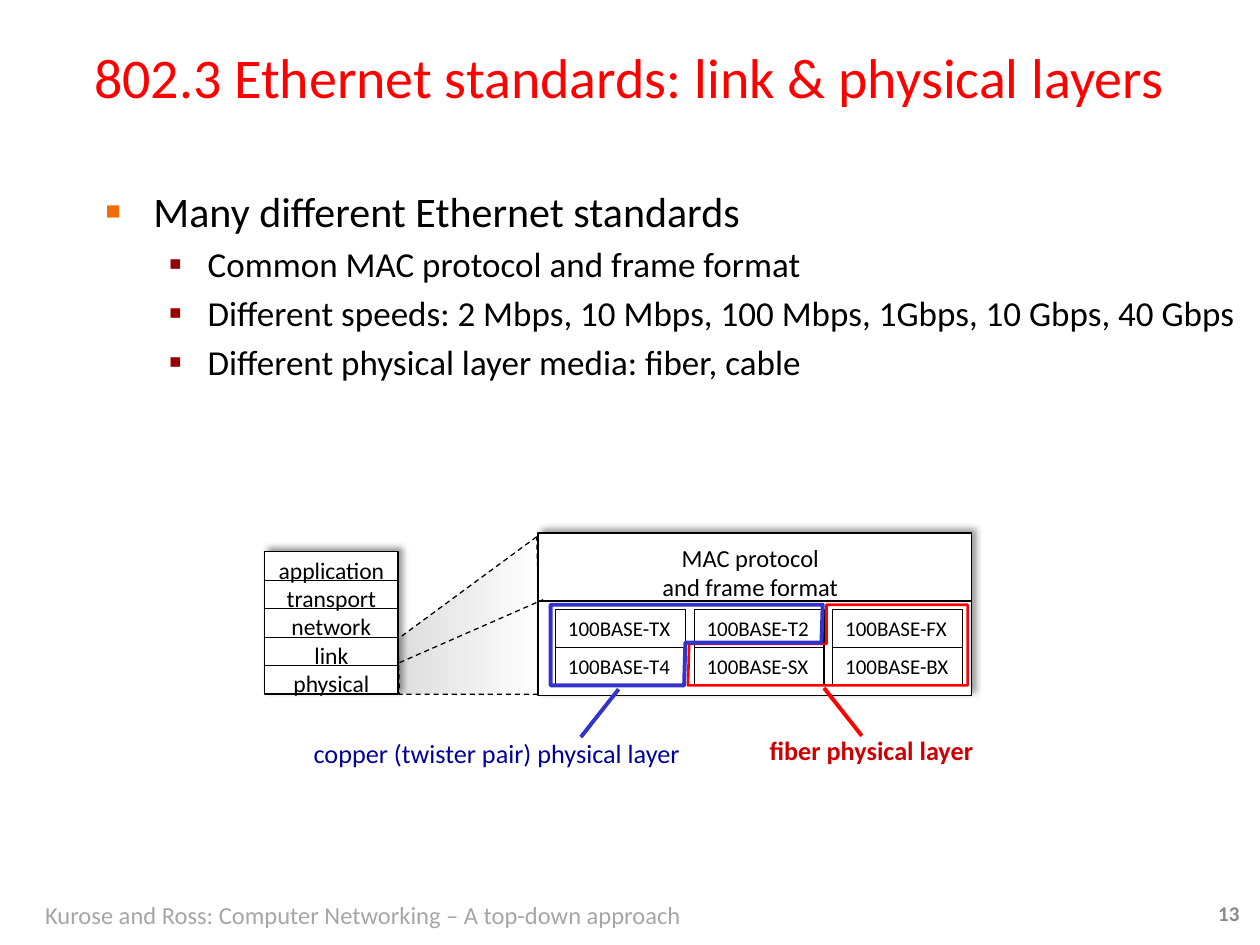
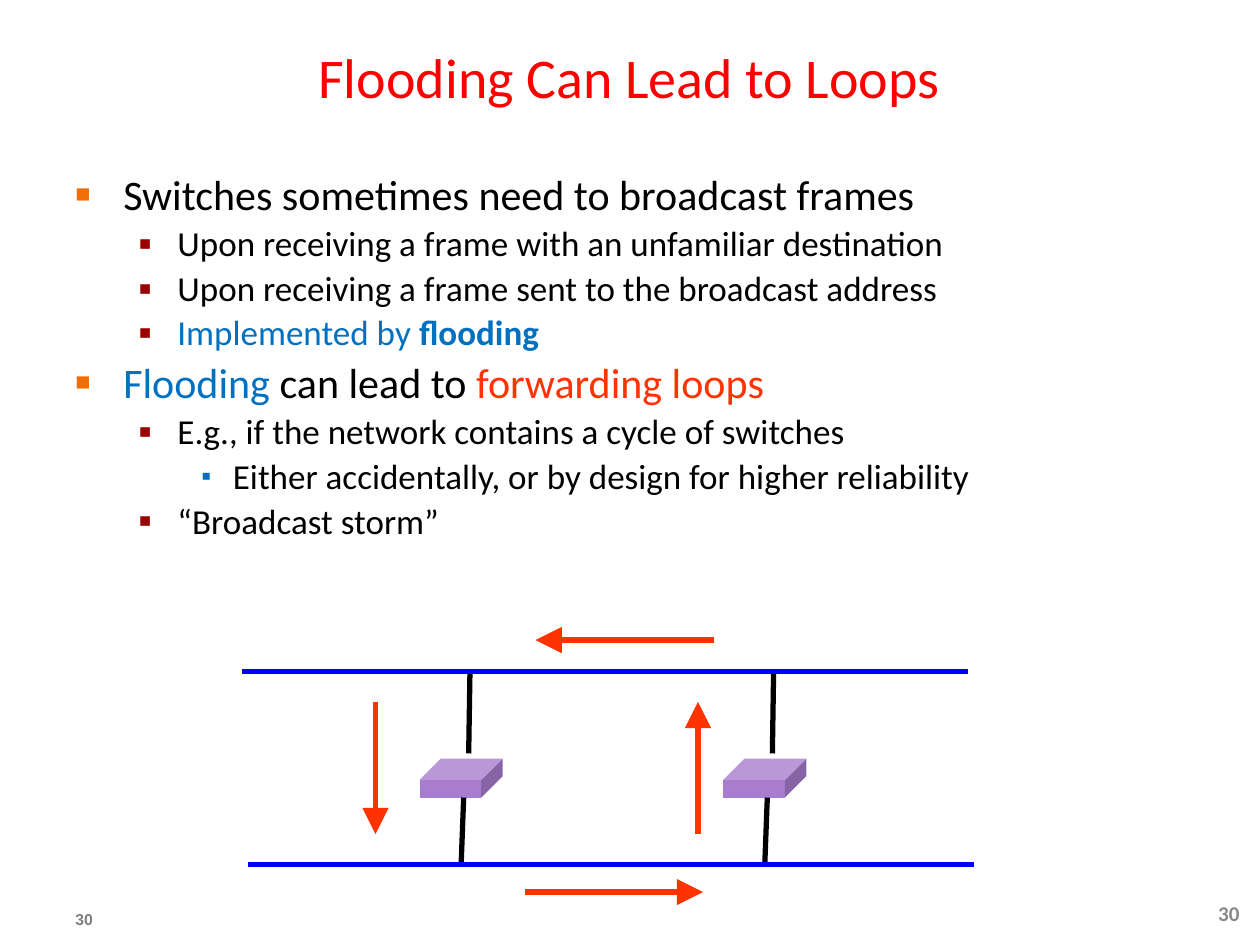
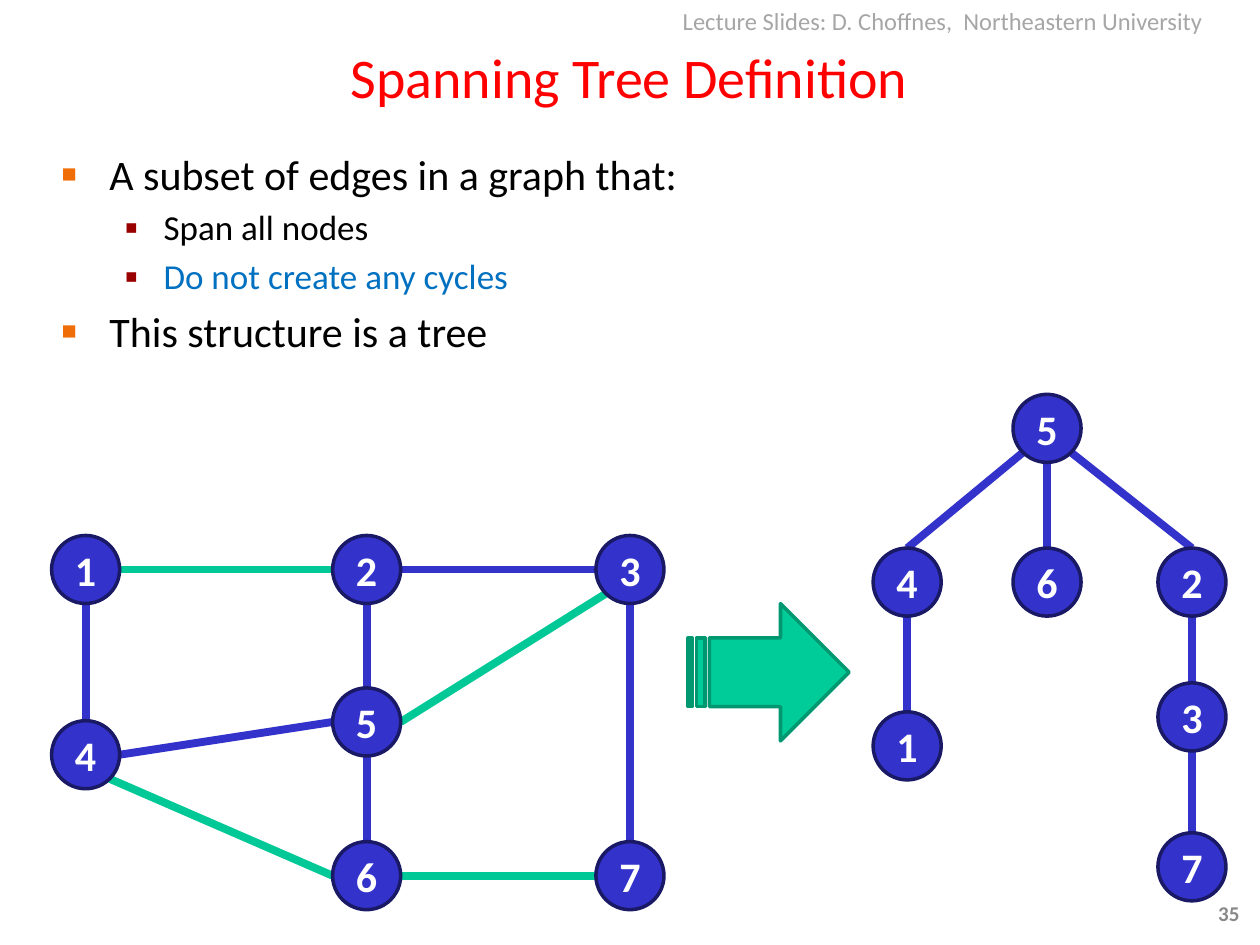
from dataclasses import dataclass
from typing import NamedTuple

from lxml import etree
from pptx import Presentation
from pptx.dml.color import RGBColor
from pptx.enum.dml import MSO_LINE
from pptx.enum.shapes import MSO_CONNECTOR, MSO_SHAPE
from pptx.enum.text import MSO_ANCHOR, MSO_AUTO_SIZE, PP_ALIGN
from pptx.oxml.ns import qn
from pptx.util import Emu, Inches, Pt

RECT, OVAL, CUBE = MSO_SHAPE.RECTANGLE, MSO_SHAPE.OVAL, MSO_SHAPE.CUBE
STRIPED = MSO_SHAPE.STRIPED_RIGHT_ARROW
STRAIGHT, DASH = MSO_CONNECTOR.STRAIGHT, MSO_LINE.DASH
LEFT, CENTER = PP_ALIGN.LEFT, PP_ALIGN.CENTER
TOP, MIDDLE = MSO_ANCHOR.TOP, MSO_ANCHOR.MIDDLE

WIDTH, HEIGHT = Inches(10), Inches(7.5)
UNIT = WIDTH / 10  # the grid has 10 columns and 7.5 rows of square cells

FONT = "Calibri"
BLACK, WHITE, RED, BLUE = "000000", "FFFFFF", "FF0000", "3333CC"
AZURE, ORANGE, TEAL = "0070C0", "FF3300", "00C896"
CREDIT, NUMBER = "A6A6A6", "898989"

Point = tuple[float, float]


class Box(NamedTuple):
    x: float
    y: float
    w: float
    h: float


class Run(NamedTuple):
    text: str
    color: str = BLACK
    bold: bool = False


@dataclass
class Style:
    size: float
    align: PP_ALIGN = LEFT
    anchor: MSO_ANCHOR = TOP
    wrap: bool = True
    font: str = FONT
    inset: bool = True


class Level(NamedTuple):
    size: float
    margin: float
    hang: float
    mark: str
    color: str
    scale: int


class Item(NamedTuple):
    level: int
    runs: list[Run]


LEVELS = [
    Level(24, 0.38, 0.38, "■", "F06E07", 60),
    Level(20, 0.81, 0.31, "▪", "990000", 110),
    Level(20, 1.25, 0.25, "▪", AZURE, 80),
]
TITLE = Box(0.39, 0.21, 9.21, 0.79)
PAGE = Box(9.57, 7.1, 0.4, 0.3)


def cell(count: float) -> Emu:
    return Emu(round(count * UNIT))


def place(box: Box) -> list[Emu]:
    return [cell(side) for side in box]


def rgb(code: str) -> RGBColor:
    return RGBColor.from_string(code)


def node(parent, tag: str, **attrs):
    return etree.SubElement(parent, qn(tag), attrs)


def write(para, runs: list[Run], size: float, font: str = FONT) -> None:
    for part in runs:
        run = para.add_run()
        run.text = part.text
        run.font.name, run.font.size = font, Pt(size)
        run.font.bold = part.bold
        run.font.color.rgb = rgb(part.color)


def fill_text(shape, lines: list[list[Run]], style: Style) -> None:
    frame = shape.text_frame
    frame.auto_size = MSO_AUTO_SIZE.NONE
    frame.word_wrap, frame.vertical_anchor = style.wrap, style.anchor
    if not style.inset:
        frame.margin_left = frame.margin_right = 0
        frame.margin_top = frame.margin_bottom = 0
    for i, runs in enumerate(lines):
        para = frame.add_paragraph() if i else frame.paragraphs[0]
        para.alignment = style.align
        write(para, runs, style.size, style.font)


def label(slide, box: Box, lines: list[list[Run]], style: Style):
    shape = slide.shapes.add_textbox(*place(box))
    fill_text(shape, lines, style)
    return shape


def paint(shape, fill: str | None, line: str | None, width: float) -> None:
    shape.shadow.inherit = False
    if fill:
        shape.fill.solid()
        shape.fill.fore_color.rgb = rgb(fill)
    else:
        shape.fill.background()
    if line:
        shape.line.color.rgb = rgb(line)
        shape.line.width = Pt(width)
    else:
        shape.line.fill.background()


def draw(slide, kind, box: Box, fill: str | None,
         line: str | None = BLACK, width: float = 0.75):
    shape = slide.shapes.add_shape(kind, *place(box))
    paint(shape, fill, line, width)
    return shape


def cast(shape) -> None:
    """Give the shape a soft shadow toward the upper right."""
    effects = shape._element.spPr.find(qn("a:effectLst"))
    outer = node(effects, "a:outerShdw", blurRad=str(Pt(4)),
                 dist=str(Pt(3)), dir="18900000", rotWithShape="0")
    color = node(outer, "a:srgbClr", val=BLACK)
    node(color, "a:alpha", val="40000")


def trace(slide, points: list[Point], line: str, width: float,
          close: bool = True):
    """Draw an unfilled outline through the points."""
    first, *rest = [(cell(x), cell(y)) for x, y in points]
    path = slide.shapes.build_freeform(*first)
    path.add_line_segments(rest, close=close)
    shape = path.convert_to_shape()
    paint(shape, None, line, width)
    return shape


def link(slide, start: Point, end: Point, color: str = BLACK,
         width: float = 0.75, arrow: bool = False) -> None:
    ends = [cell(n) for n in (*start, *end)]
    line = slide.shapes.add_connector(STRAIGHT, *ends)
    line.line.color.rgb = rgb(color)
    line.line.width = Pt(width)
    if arrow:
        node(line.line._get_or_add_ln(), "a:tailEnd",
             type="triangle", w="lg", len="lg")
    node(line._element.spPr, "a:effectLst")


def outline(slide, box: Box, items: list[Item],
            spacing: float = 1.0) -> None:
    """Write a bulleted list."""
    frame = slide.shapes.add_textbox(*place(box)).text_frame
    frame.word_wrap = True
    for i, item in enumerate(items):
        look = LEVELS[item.level]
        para = frame.add_paragraph() if i else frame.paragraphs[0]
        para.level = item.level
        para.line_spacing = spacing
        if i:
            para.space_before = Pt(look.size * 0.2)
        props = para._p.get_or_add_pPr()
        props.set("marL", str(cell(look.margin)))
        props.set("indent", str(-cell(look.hang)))
        node(node(props, "a:buClr"), "a:srgbClr", val=look.color)
        node(props, "a:buSzPct", val=str(look.scale * 1000))
        node(props, "a:buFont", typeface="Arial")
        node(props, "a:buChar", char=look.mark)
        write(para, item.runs, look.size)


def start(deck, title: str, page: int):
    """Add a slide with its title and page number."""
    slide = deck.slides.add_slide(deck.slide_layouts[5])
    head = slide.shapes.title
    head.left, head.top, head.width, head.height = place(TITLE)
    fill_text(head, [[Run(title, RED)]], Style(32, CENTER, MIDDLE))
    label(slide, PAGE, [[Run(str(page), NUMBER, True)]],
          Style(12, anchor=MIDDLE))
    return slide


def stack(slide, box: Box, names: list[str]) -> None:
    """Draw the protocol layers as one box split by lines."""
    cast(draw(slide, RECT, box, WHITE))
    label(slide, Box(box.x, box.y - 0.02, box.w, 1.24),
          [[Run(name)] for name in names], Style(13.5, CENTER, wrap=False))
    step = box.h / len(names)
    for i in range(1, len(names)):
        y = box.y + i * step
        link(slide, (box.x, y), (box.x + box.w, y))


def ethernet(deck) -> None:
    slide = start(deck, "802.3 Ethernet standards: link & physical layers", 13)
    fan = trace(slide, [(4.26, 4.26), (3.16, 5.07), (3.17, 5.51), (4.3, 5.51)],
                BLACK, 0.75)
    fan.line.dash_style = DASH
    fan.fill.gradient()
    fan.fill.gradient_angle = 0
    for stop, color in zip(fan.fill.gradient_stops, ("DDDDDD", WHITE)):
        stop.color.rgb = rgb(color)
    stack(slide, Box(2.1, 4.38, 1.06, 1.13),
          ["application", "transport", "network", "link", "physical"])

    cast(draw(slide, RECT, Box(4.27, 4.23, 3.44, 1.29), WHITE))
    link(slide, (4.27, 4.77), (7.71, 4.77))
    label(slide, Box(5.15, 4.26, 1.61, 0.57),
          [[Run("MAC protocol")], [Run("and frame format")]],
          Style(14, CENTER, wrap=False))
    ray = trace(slide, [(3.17, 5.26), (4.31, 4.76)], BLACK, 0.75, False)
    ray.line.dash_style = DASH
    for row, kinds in enumerate((("TX", "T2", "FX"), ("T4", "SX", "BX"))):
        for col, kind in enumerate(kinds):
            box = Box(4.41 + 1.1 * col, 4.84 + 0.3 * row, 1.03, 0.3)
            fill_text(draw(slide, RECT, box, None),
                      [[Run("100BASE-" + kind)]], Style(12, wrap=False))

    trace(slide, [(6.56, 4.8), (6.56, 5.11), (5.47, 5.11), (5.46, 5.44),
                  (7.68, 5.44), (7.68, 4.8)], RED, 1.5)
    link(slide, (6.54, 5.46), (6.84, 5.84), RED, 2.25)
    label(slide, Box(6.01, 5.78, 1.83, 0.35),
          [[Run("fiber physical layer", "CC0000", True)]],
          Style(15, wrap=False))
    trace(slide, [(6.53, 4.8), (6.52, 5.1), (5.44, 5.1), (5.43, 5.44),
                  (4.37, 5.44), (4.37, 4.8)], BLUE, 2.25)
    link(slide, (4.91, 5.47), (4.61, 5.85), BLUE, 2.25)
    label(slide, Box(2.39, 5.8, 3.19, 0.35),
          [[Run("copper (twister pair) physical layer", "000099")]], Style(15))

    outline(slide, Box(0.74, 1.42, 9.2, 1.75), [
        Item(0, [Run("Many different Ethernet standards")]),
        Item(1, [Run("Common MAC protocol and frame format")]),
        Item(1, [Run("Different speeds: 2 Mbps, 10 Mbps, 100 Mbps, "
                     "1Gbps, 10 Gbps, 40 Gbps")]),
        Item(1, [Run("Different physical layer media: fiber, cable")]),
    ])
    label(slide, Box(0.26, 7.09, 5.33, 0.34),
          [[Run("Kurose and Ross: Computer Networking – A top-down approach",
                CREDIT)]], Style(14, wrap=False))


def flooding(deck) -> None:
    slide = start(deck, "Flooding Can Lead to Loops", 30)
    label(slide, Box(0.5, 7.17, 2.75, 0.33), [[Run("30", "808080", True)]],
          Style(9, font="Arial"))
    outline(slide, Box(0.5, 1.33, 9.25, 3.58), [
        Item(0, [Run("Switches sometimes need to broadcast frames")]),
        Item(1, [Run("Upon receiving a frame with an unfamiliar destination")]),
        Item(1, [Run("Upon receiving a frame sent to the broadcast address")]),
        Item(1, [Run("Implemented by ", AZURE), Run("flooding", AZURE, True)]),
        Item(0, [Run("Flooding", AZURE), Run(" can lead to "),
                 Run("forwarding loops", ORANGE)]),
        Item(1, [Run("E.g., if the network contains a cycle of switches")]),
        Item(2, [Run("Either accidentally, or by design "
                     "for higher reliability")]),
        Item(1, [Run("“Broadcast storm”")]),
    ], 0.9)
    for x in (3.33, 5.74):
        switch = draw(slide, CUBE, Box(x, 6.02, 0.66, 0.31), "A87DD0", None)
        switch.adjustments[0] = 0.55
        link(slide, (x + 0.4, 5.33), (x + 0.39, 5.98), BLACK, 3)
        link(slide, (x + 0.35, 6.33), (x + 0.33, 6.86), BLACK, 3)
    for x, y in ((1.92, 5.33), (1.97, 6.86)):
        link(slide, (x, y), (x + 5.76, y), "0000FF", 3)
    for tail, tip in (((2.98, 5.57), (2.98, 6.62)), ((5.54, 6.62), (5.54, 5.57)),
                      ((4.17, 7.08), (5.58, 7.08)), ((5.67, 5.08), (4.25, 5.08))):
        link(slide, tail, tip, ORANGE, 3, arrow=True)


RADIUS = 0.27
SIDES = {"n": (0, -1), "e": (1, 0), "s": (0, 1), "w": (-1, 0),
         "se": (0.71, 0.71), "sw": (-0.71, 0.71)}


def graph(slide, spots: dict[str, Point], edges: dict[str, str]) -> None:
    """Draw numbered nodes; an edge such as "1e 2w" names node and side."""
    def rim(end: str) -> Point:
        (x, y), (dx, dy) = spots[end[0]], SIDES[end[1:]]
        return x + RADIUS * dx, y + RADIUS * dy

    for color, pairs in edges.items():
        for pair in pairs.split(", "):
            tail, tip = pair.split()
            link(slide, rim(tail), rim(tip), color, 4.5)
    for name, (x, y) in spots.items():
        box = Box(x - RADIUS, y - RADIUS, 2 * RADIUS, 2 * RADIUS)
        fill_text(draw(slide, OVAL, box, BLUE, "191966", 2),
                  [[Run(name, WHITE, True)]],
                  Style(24, CENTER, MIDDLE, inset=False))


def spanning(deck) -> None:
    slide = start(deck, "Spanning Tree Definition", 35)
    outline(slide, Box(0.39, 1.13, 9.17, 1.8), [
        Item(0, [Run("A subset of edges in a graph that:")]),
        Item(1, [Run("Span all nodes")]),
        Item(1, [Run("Do not create any cycles", AZURE)]),
        Item(0, [Run("This structure is a tree")]),
    ])
    graph(slide, {
        "1": (0.68, 4.52), "4": (0.68, 5.99), "2": (2.91, 4.52),
        "5": (2.91, 5.73), "6": (2.91, 6.95), "3": (5, 4.52), "7": (5, 6.95),
    }, {
        TEAL: "1e 2w, 5e 3sw, 6e 7w, 4se 6w",
        BLUE: "2e 3w, 2s 5n, 5s 6n, 3s 7n, 1s 4n, 4e 5w",
    })
    graph(slide, {
        "5": (8.31, 3.4), "4": (7.2, 4.62), "6": (8.31, 4.62),
        "2": (9.46, 4.62), "1": (7.2, 5.92), "3": (9.46, 5.69),
        "7": (9.46, 6.88),
    }, {BLUE: "5sw 4n, 5s 6n, 5se 2n, 4s 1n, 2s 3n, 3s 7n"})
    draw(slide, STRIPED, Box(5.46, 4.79, 1.28, 1.09), "00CC99", "009771", 2)
    label(slide, Box(5.32, 0, 4.68, 0.34),
          [[Run("Lecture Slides: D. Choffnes,  Northeastern University",
                CREDIT)]], Style(14))


def main() -> None:
    deck = Presentation()
    deck.slide_width, deck.slide_height = WIDTH, HEIGHT
    ethernet(deck)
    flooding(deck)
    spanning(deck)
    deck.save("out.pptx")


if __name__ == "__main__":
    main()
